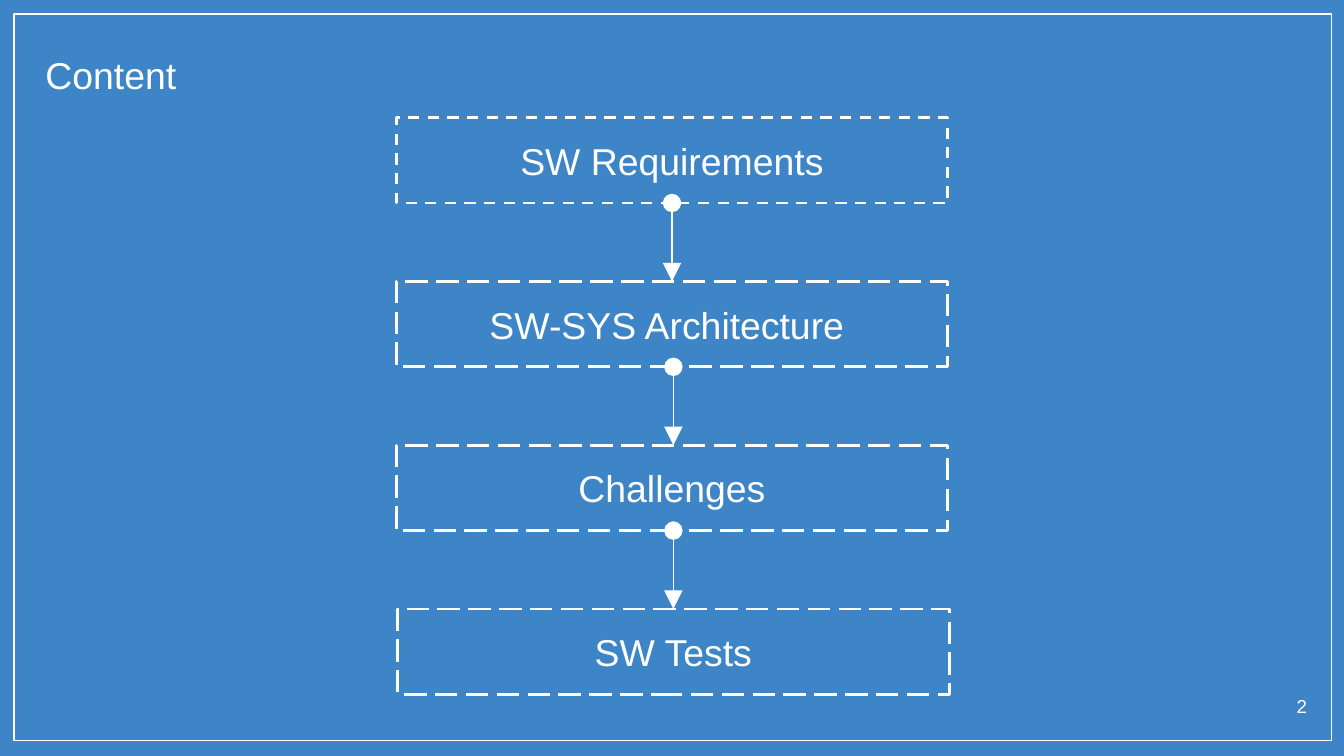
from pptx import Presentation, util as u
from pptx.dml.color import RGBColor
from pptx.enum import dml, shapes, text
from pptx.oxml.ns import qn
from lxml import etree

PX = 9525
COLORS = {"background": "3D85C6", "ink": "FFFFFF"}
FONT = "Arial"
INSET = u.Inches(0.1)
STEP_WIDTH, STEP_HEIGHT = 394, 61
FIRST_TOP, PITCH = 84, 117
STEPS = [
    ("SW Requirements", 283, dml.MSO_LINE.DASH),
    ("SW-SYS Architecture ", 283, dml.MSO_LINE.LONG_DASH),
    ("Challenges", 283, dml.MSO_LINE.LONG_DASH),
    ("SW Tests", 284, dml.MSO_LINE.LONG_DASH),
]
ARROW_CENTERS = [480, 481, 481]


def px(*lengths):
    """Turn px lengths into EMU."""
    return [u.Emu(length * PX) for length in lengths]


def color(name):
    """Look up a colour by name."""
    return RGBColor.from_string(COLORS[name])


def write(box, words, size, align, anchor):
    """Put one line of text into a box."""
    frame = box.text_frame
    frame.word_wrap = True
    frame.vertical_anchor = anchor
    frame.margin_left = frame.margin_right = INSET
    frame.margin_top = frame.margin_bottom = INSET
    para = frame.paragraphs[0]
    para.alignment = align
    span = para.add_run()
    span.text = words
    span.font.name = FONT
    span.font.size = u.Pt(size)
    span.font.color.rgb = color("ink")


def add_label(slide, words, area, size, align):
    """Add a plain text box."""
    box = slide.shapes.add_textbox(*px(*area))
    write(box, words, size, align, text.MSO_ANCHOR.TOP)


def style_line(line, width, dash=None):
    """Give a line its colour, width, dash and round joins."""
    line.color.rgb = color("ink")
    line.width = u.Pt(width)
    if dash:
        line.dash_style = dash
    outline = line._get_or_add_ln()
    etree.SubElement(outline, qn("a:round"))
    return outline


def add_outline(slide, area, width, dash=None):
    """Add an unfilled rectangle with a light outline."""
    box = slide.shapes.add_shape(shapes.MSO_SHAPE.RECTANGLE, *px(*area))
    box.shadow.inherit = False
    box.fill.background()
    style_line(box.line, width, dash)
    return box


def add_step(slide, words, left, top, dash):
    """Add one dashed step of the flow."""
    box = add_outline(slide, (left, top, STEP_WIDTH, STEP_HEIGHT), 1.5, dash)
    write(box, words, 20, text.PP_ALIGN.CENTER, text.MSO_ANCHOR.MIDDLE)


def add_arrow(slide, center, top, bottom):
    """Add a downward arrow that starts with a dot."""
    arrow = slide.shapes.add_connector(
        shapes.MSO_CONNECTOR.STRAIGHT, *px(center, top, center, bottom))
    outline = style_line(arrow.line, 0.75)
    for end, kind in (("a:headEnd", "oval"), ("a:tailEnd", "triangle")):
        etree.SubElement(outline, qn(end), type=kind, w="lg", len="lg")
    etree.SubElement(outline.getparent(), qn("a:effectLst"))


def main():
    """Build the content slide."""
    deck = Presentation()
    deck.slide_width, deck.slide_height = px(960, 540)
    slide = deck.slides.add_slide(deck.slide_layouts[6])
    slide.background.fill.solid()
    slide.background.fill.fore_color.rgb = color("background")

    add_outline(slide, (10, 10, 941, 519), 0.75)
    add_label(slide, "Content", (23, 28, 864, 43), 20, text.PP_ALIGN.LEFT)

    tops = [FIRST_TOP + PITCH * index for index in range(len(STEPS))]
    for (words, left, dash), top in zip(STEPS, tops):
        add_step(slide, words, left, top, dash)
    for center, top, next_top in zip(ARROW_CENTERS, tops, tops[1:]):
        add_arrow(slide, center, top + STEP_HEIGHT, next_top)

    add_label(slide, "2", (895, 488, 48, 31), 10, text.PP_ALIGN.RIGHT)
    deck.save("out.pptx")


if __name__ == "__main__":
    main()
